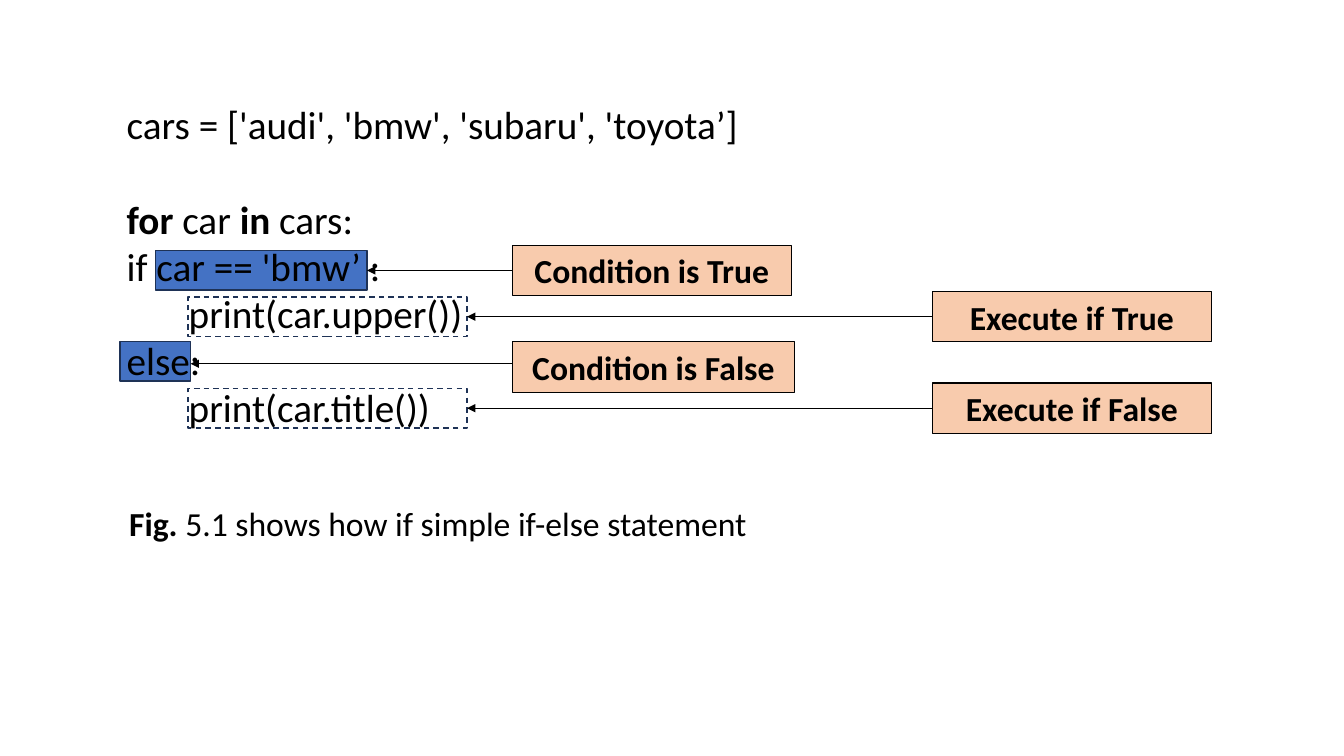
from dataclasses import dataclass

from lxml.etree import SubElement
from pptx import Presentation
from pptx.dml.color import RGBColor
from pptx.enum.dml import MSO_LINE
from pptx.enum.shapes import MSO_CONNECTOR, MSO_SHAPE
from pptx.enum.text import MSO_ANCHOR, PP_ALIGN
from pptx.oxml.ns import qn
from pptx.util import Inches, Pt


@dataclass(frozen=True)
class Theme:
    font: str = "Calibri"
    code_size: int = 28
    note_size: int = 24
    ink: str = "000000"
    highlight: str = "4472C4"
    outline: str = "1E3256"
    label: str = "F8CBAD"
    thin: float = 0.75
    medium: float = 1


THEME = Theme()
COLUMNS, ROWS = 16, 9
WIDTH, HEIGHT = Inches(13.33), Inches(7.5)
TARGET_H, LABEL_H = 0.47, 0.6
RIGHT, LEFT = 3, 1

CODE = [
    [("cars = ['audi', 'bmw', 'subaru', 'toyota’]", False)],
    [("for", True), (" car ", False), ("in", True), (" cars:", False)],
    [("if car == 'bmw’ :", False)],
    [("       print(car.upper())", False)],
    [("else:", False)],
    [("       print(car.title())", False)],
]
LOOP_LINE = 1
CAPTION = [[("Fig.", True), (" 5.1 shows how if simple if-else statement", False)]]

# Left column, middle row and width of each marked piece of code
CONDITIONS = [(1.85, 3.22, 2.52), (1.43, 4.3, 0.84)]
ACTIONS = [(2.24, 3.77, 3.32), (2.24, 4.86, 3.32)]

# Wording, left column, middle row, width
CONDITION_LABELS = [("Condition is True", 6.1, 3.22, 3.32),
                    ("Condition is False", 6.1, 4.37, 3.36)]
ACTION_LABELS = [("Execute if True", 11.1, 3.77, 3.32),
                 ("Execute if False", 11.1, 4.86, 3.32)]
ELSE_ARROW_ROW = 4.33


def col(n):
    return int(WIDTH * n / COLUMNS)


def row(n):
    return int(HEIGHT * n / ROWS)


def set_format(obj, values):
    for name, value in values.items():
        setattr(obj, name, value)


def write(tf, lines, size, align=PP_ALIGN.LEFT):
    tf.word_wrap = True
    for i, line in enumerate(lines):
        p = tf.paragraphs[0] if i == 0 else tf.add_paragraph()
        p.alignment = align
        for text, bold in line:
            r = p.add_run()
            r.text = text
            set_format(r.font, {"name": THEME.font, "size": Pt(size), "bold": bold})
            r.font.color.rgb = RGBColor.from_string(THEME.ink)


def add_text(s, left, top, width, height, lines, size):
    sp = s.shapes.add_textbox(col(left), row(top), col(width), row(height))
    write(sp.text_frame, lines, size)
    return sp


def add_box(s, left, middle, width, height, fill=None, line=THEME.outline,
            weight=THEME.medium, dash=None):
    sp = s.shapes.add_shape(MSO_SHAPE.RECTANGLE, col(left), row(middle - height / 2),
                            col(width), row(height))
    sp.shadow.inherit = False
    if fill:
        sp.fill.solid()
        sp.fill.fore_color.rgb = RGBColor.from_string(fill)
    else:
        sp.fill.background()
    sp.line.color.rgb = RGBColor.from_string(line)
    set_format(sp.line, {"width": Pt(weight), "dash_style": dash})
    return sp


def add_label(s, text, left, middle, width):
    sp = add_box(s, left, middle, width, LABEL_H, THEME.label, THEME.ink, THEME.thin)
    sp.text_frame.vertical_anchor = MSO_ANCHOR.MIDDLE
    write(sp.text_frame, [[(text, True)]], THEME.note_size, PP_ALIGN.CENTER)
    return sp


def add_arrow(s, label, target, level=None):
    """Join label to target, or run level on a given row."""
    y = row(level or 0)
    cxn = s.shapes.add_connector(MSO_CONNECTOR.STRAIGHT, label.left, y,
                                 target.left + target.width, y)
    if level is None:
        cxn.begin_connect(label, LEFT)
        cxn.end_connect(target, RIGHT)
    cxn.line.color.rgb = RGBColor.from_string(THEME.ink)
    cxn.line.width = Pt(THEME.thin)
    SubElement(cxn.line._get_or_add_ln(), qn("a:tailEnd"), type="triangle")
    SubElement(cxn._element.spPr, qn("a:effectLst"))


def main():
    prs = Presentation()
    set_format(prs, {"slide_width": WIDTH, "slide_height": HEIGHT})
    s = prs.slides.add_slide(prs.slide_layouts[6])

    # Caption
    add_text(s, 1.42, 5.93, 7.87, 0.6, CAPTION, THEME.note_size)

    # Highlights lie behind the code
    conditions = [add_box(s, *place, TARGET_H, THEME.highlight) for place in CONDITIONS]

    # Code, with a one-line gap above the loop
    code = add_text(s, 1.39, 1.14, 8.03, 4.64, CODE, THEME.code_size)
    code.text_frame.paragraphs[LOOP_LINE].space_before = Pt(34)

    # Dashed frames round the actions
    actions = [add_box(s, *place, TARGET_H, dash=MSO_LINE.DASH) for place in ACTIONS]

    # Labels and their arrows
    targets = conditions + actions
    levels = [None, ELSE_ARROW_ROW, None, None]
    for item, target, level in zip(CONDITION_LABELS + ACTION_LABELS, targets, levels):
        add_arrow(s, add_label(s, *item), target, level)

    prs.save("out.pptx")


if __name__ == "__main__":
    main()
